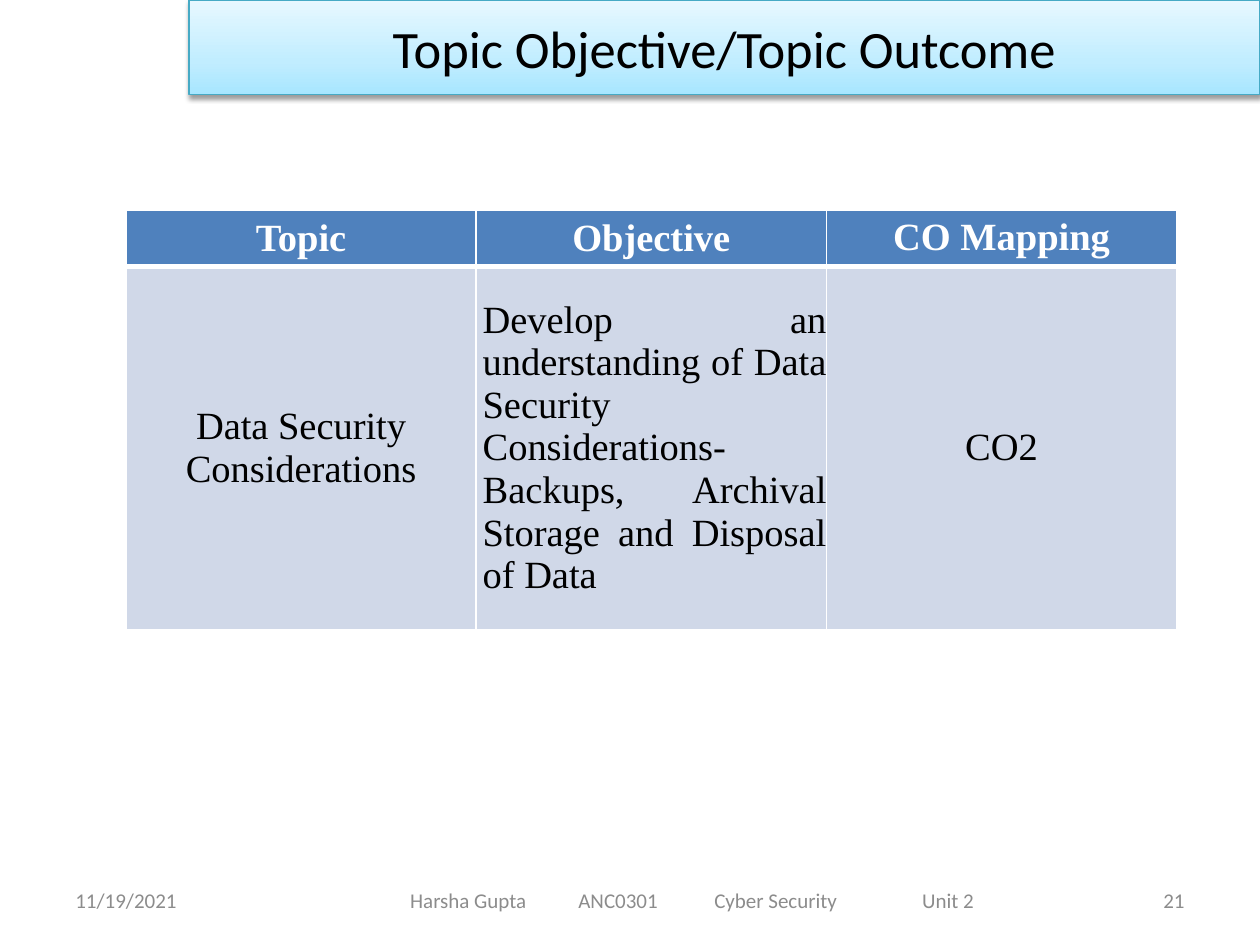
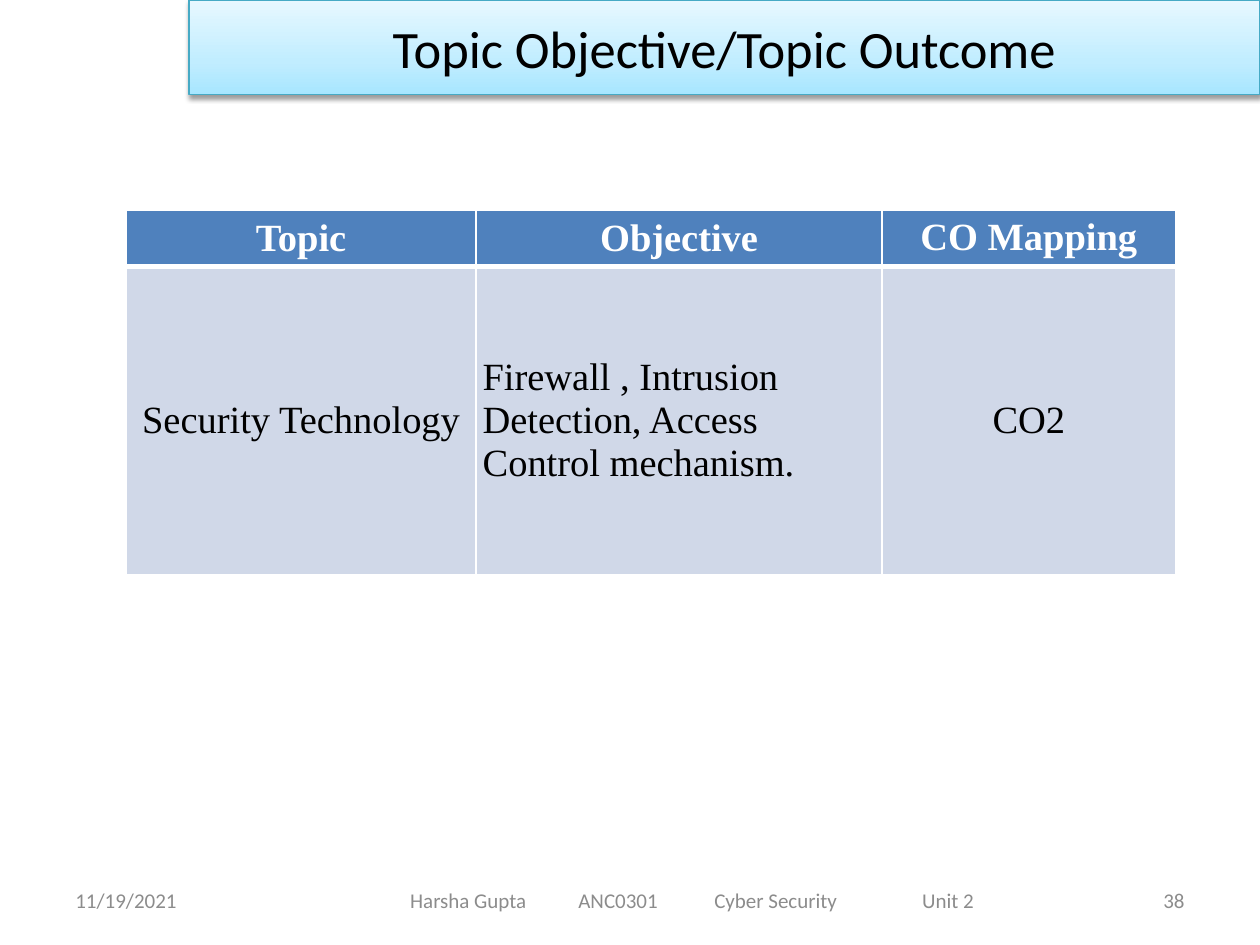
from dataclasses import dataclass

from lxml.etree import SubElement
from pptx import Presentation
from pptx.dml.color import RGBColor as Rgb
from pptx.enum.text import MSO_ANCHOR as Anchor, PP_ALIGN as Align
from pptx.oxml import parse_xml
from pptx.oxml.ns import nsdecls, qn
from pptx.util import Cm, Pt


@dataclass(frozen=True)
class Theme:
    title_font: str = "Calibri"
    table_font: str = "Times New Roman"
    title_size: int = 30
    table_size: int = 22
    footer_size: int = 12
    ink: str = "000000"
    paper: str = "FFFFFF"
    footer_ink: str = "8C8C8C"
    header_fill: str = "4F81BD"
    body_fill: str = "D0D8E8"
    band_line: str = "46AAC5"
    band_stops: tuple = ((0, "A7E6FF"), (35, "C1EDFF"), (100, "E7F8FF"))


THEME = Theme()
TITLE_BOX = (3.81, 0, 21.59, 1.91)
FOOTER_TOP, FOOTER_HEIGHT = 17.65, 1.01
DATE_BOX = (1.27, FOOTER_TOP, 5.93, FOOTER_HEIGHT)
COURSE_BOX = (6.99, FOOTER_TOP, 13.97, FOOTER_HEIGHT)
NUMBER_BOX = (18.2, FOOTER_TOP, 5.93, FOOTER_HEIGHT)
TABLE_LEFT, TABLE_TOP, HEADER_HEIGHT = 2.54, 4.23, 1.14

TITLE = "Topic Objective/Topic Outcome"
DATE = "11/19/2021"
COURSE = "Harsha Gupta\tANC0301\tCyber Security\tUnit 2"
COURSE_TABS = (3.39, 6.13, 10.32)
HEADINGS = ("Topic", "Objective", "CO Mapping")


def add_run(paragraph, text, font, size, color, bold=False):
    run = paragraph.add_run()
    run.text = text
    run.font.name, run.font.size, run.font.bold = font, Pt(size), bold
    run.font.color.rgb = Rgb.from_string(color)


def title_band(slide, box):
    band = slide.shapes.title
    band.left, band.top, band.width, band.height = map(Cm, box)

    # Gradient, outline and soft shadow
    stops = "".join(
        f'<a:gs pos="{pos * 1000}"><a:srgbClr val="{color}"/></a:gs>'
        for pos, color in THEME.band_stops)
    props = band.element.spPr
    props.append(parse_xml(
        f'<a:gradFill {nsdecls("a")} rotWithShape="1"><a:gsLst>{stops}</a:gsLst>'
        '<a:lin ang="16200000" scaled="1"/></a:gradFill>'))
    band.line.color.rgb = Rgb.from_string(THEME.band_line)
    band.line.width = Pt(0.75)
    props.append(parse_xml(
        f'<a:effectLst {nsdecls("a")}><a:outerShdw blurRad="{Pt(3.1)}" '
        f'dist="{Pt(1.6)}" dir="5400000" rotWithShape="0">'
        '<a:srgbClr val="000000"><a:alpha val="38000"/></a:srgbClr>'
        '</a:outerShdw></a:effectLst>'))

    band.text_frame.vertical_anchor = Anchor.MIDDLE
    heading = band.text_frame.paragraphs[0]
    heading.alignment = Align.CENTER
    add_run(heading, TITLE, THEME.title_font, THEME.title_size, THEME.ink)


def footer_part(slide, box, text, align=Align.LEFT, inset=0.25, tabs=()):
    frame = slide.shapes.add_textbox(*map(Cm, box)).text_frame
    frame.word_wrap = True
    frame.vertical_anchor = Anchor.MIDDLE
    frame.margin_left = Cm(inset)
    line = frame.paragraphs[0]
    line.alignment = align
    if tabs:
        tab_list = SubElement(line._p.get_or_add_pPr(), qn("a:tabLst"))
        for position in tabs:
            SubElement(tab_list, qn("a:tab"), pos=str(Cm(position)), algn="l")
    # Each tab becomes its own break between runs of the same line
    add_run(line, text, THEME.title_font, THEME.footer_size, THEME.footer_ink)


def footer(slide, number):
    footer_part(slide, DATE_BOX, DATE)
    footer_part(slide, COURSE_BOX, COURSE, inset=1.28, tabs=COURSE_TABS)
    footer_part(slide, NUMBER_BOX, str(number), Align.RIGHT)


def format_cell(cell, text, is_header, align, margins):
    # Borders: a thick rule separates the header from the body
    cell_props = cell._tc.get_or_add_tcPr()
    widths = {"L": 1, "R": 1, "T": 1 if is_header else 3, "B": 3 if is_header else 1}
    for side, width in widths.items():
        border = SubElement(cell_props, qn(f"a:ln{side}"), w=str(Pt(width)))
        SubElement(SubElement(border, qn("a:solidFill")), qn("a:srgbClr"),
                   val=THEME.paper)
    cell.fill.solid()
    cell.fill.fore_color.rgb = Rgb.from_string(
        THEME.header_fill if is_header else THEME.body_fill)

    if margins:
        (cell.margin_left, cell.margin_top,
         cell.margin_right, cell.margin_bottom) = map(Cm, margins)
    paragraph = cell.text_frame.paragraphs[0]
    paragraph.alignment = align
    add_run(paragraph, text, THEME.table_font, THEME.table_size,
            THEME.paper if is_header else THEME.ink, is_header)


def objective_table(slide, left, top, widths, body_height, entries, objective_align):
    heights = (HEADER_HEIGHT, body_height)
    table = slide.shapes.add_table(
        2, len(widths), Cm(left), Cm(top), Cm(sum(widths)), Cm(sum(heights))).table
    table.horz_banding = False
    for column, width in zip(table.columns, widths):
        column.width = Cm(width)
    for row, height in zip(table.rows, heights):
        row.height = Cm(height)

    for r, texts in enumerate((HEADINGS, entries)):
        for c, text in enumerate(texts):
            is_objective = r == 1 and c == 1
            is_mapping = c == 2
            margins = None if is_mapping else (0.13 if is_objective else 0, 0, 0, 0)
            cell = table.cell(r, c)
            format_cell(cell, text, r == 0,
                        objective_align if is_objective else Align.CENTER, margins)
            if not (r == 0 and is_mapping):
                cell.vertical_anchor = Anchor.MIDDLE


def objective_slide(deck, number, widths, body_height, entries, objective_align):
    slide = deck.slides.add_slide(deck.slide_layouts[5])
    title_band(slide, TITLE_BOX)
    objective_table(slide, TABLE_LEFT, TABLE_TOP, widths, body_height,
                    entries, objective_align)
    footer(slide, number)


def main():
    deck = Presentation()
    deck.slide_width, deck.slide_height = Cm(25.4), Cm(19.05)
    objective_slide(
        deck, 21, (7.06, 7.06, 7.06), 7.32,
        ("Data Security Considerations",
         "Develop an understanding of Data Security Considerations-Backups, "
         "Archival Storage and Disposal of Data", "CO2"), Align.JUSTIFY)
    objective_slide(
        deck, 38, (7.06, 8.18, 5.92), 6.22,
        ("Security Technology",
         "Firewall , Intrusion Detection, Access Control mechanism.", "CO2"),
        Align.LEFT)
    deck.save("out.pptx")


if __name__ == "__main__":
    main()
